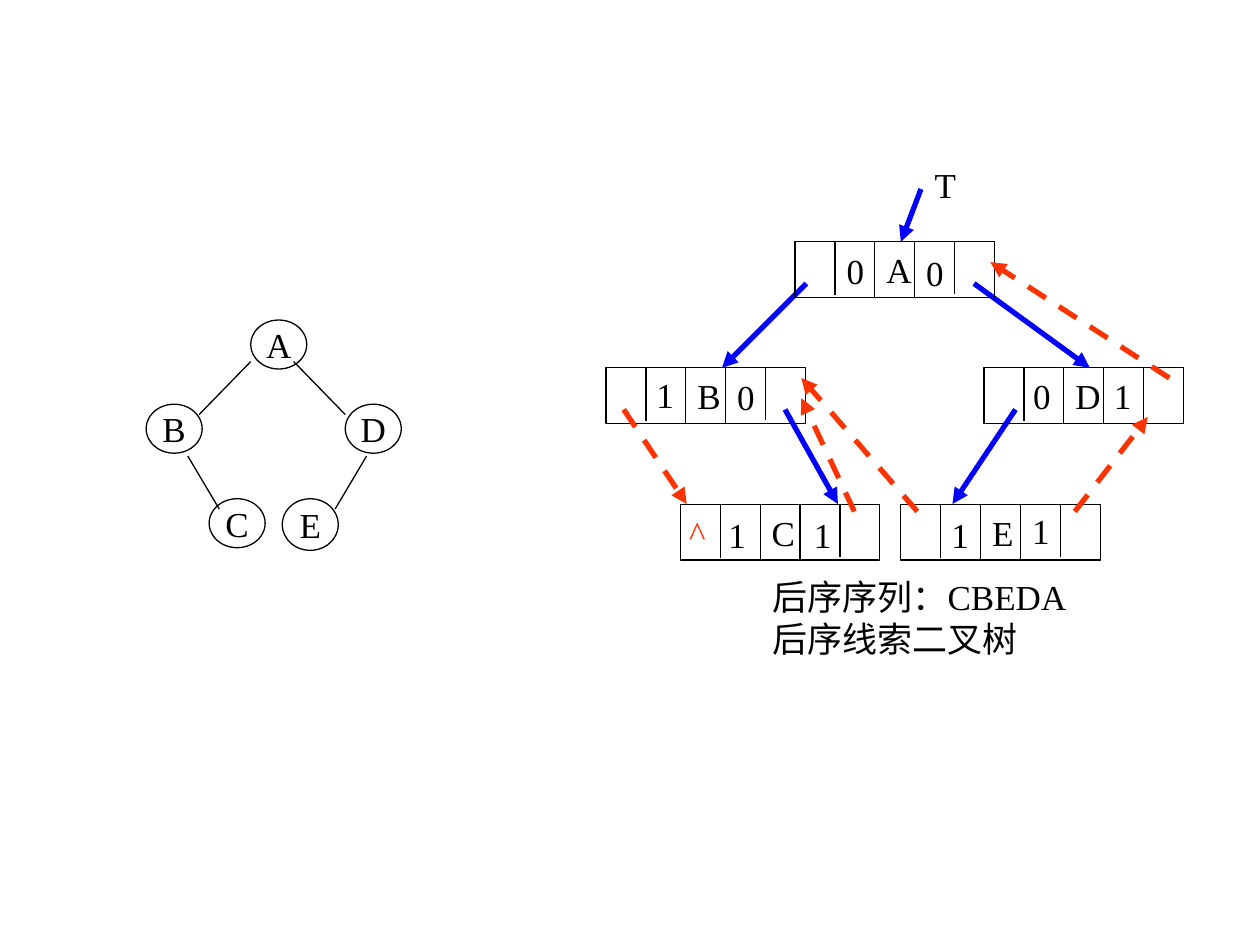
from pptx import Presentation
from pptx.dml.color import RGBColor
from pptx.enum.dml import MSO_LINE
from pptx.enum.shapes import MSO_CONNECTOR, MSO_SHAPE
from pptx.enum.text import MSO_ANCHOR as ANCHOR, PP_ALIGN as ALIGN
from pptx.oxml.ns import qn
from pptx.util import Pt
from lxml import etree

BLACK = RGBColor(0x00, 0x00, 0x00)
BLUE = RGBColor(0x00, 0x00, 0xFF)
RED = RGBColor(0xFF, 0x33, 0x00)

prs = Presentation()
prs.slide_width, prs.slide_height = Pt(720), Pt(540)
s = prs.slides.add_slide(prs.slide_layouts[6])


def add_text(sp, text, color=BLACK, align=ALIGN.CENTER, **frame):
    tf = sp.text_frame
    tf.text = text
    frame_format = {"word_wrap": False, "vertical_anchor": ANCHOR.MIDDLE, **frame}
    for name, value in frame_format.items():
        setattr(tf, name, value)
    for p in tf.paragraphs:
        p.alignment = align
        for name, value in {"name": "Times New Roman", "size": Pt(20)}.items():
            setattr(p.font, name, value)
        p.font.color.rgb = color


def add_line(x1, y1, x2, y2, color=BLACK, width=0.75, arrow=False, dashed=False):
    sp = s.shapes.add_connector(MSO_CONNECTOR.STRAIGHT, Pt(x1), Pt(y1), Pt(x2), Pt(y2))
    sp.line.color.rgb = color
    sp.line.width = Pt(width)
    if dashed:
        sp.line.dash_style = MSO_LINE.DASH
    if arrow:
        etree.SubElement(sp.line._get_or_add_ln(), qn("a:tailEnd"), type="triangle")
    etree.SubElement(sp._element.spPr, qn("a:effectLst"))


# Binary tree: nodes and edges
tree_nodes = [("A", 143.3, 182.9, 28), ("B", 83.5, 231, 28), ("C", 119.5, 285, 28),
              ("D", 197.3, 231, 28), ("E", 161.3, 285, 29.5)]
for letter, x, y, height in tree_nodes:
    sp = s.shapes.add_shape(MSO_SHAPE.OVAL, Pt(x), Pt(y), Pt(32), Pt(height))
    sp.shadow.inherit = False
    sp.fill.background()
    sp.line.color.rgb = BLACK
    sp.line.width = Pt(0.75)
    add_text(sp, letter)

for edge in [(143.3, 206.6, 113.8, 236.9), (167.8, 206.6, 197.3, 236.9),
             (107.3, 260.6, 125.3, 290.9), (209.5, 260.6, 191.5, 290.9)]:
    add_line(*edge)

# Child pointers and the root pointer
for pointer in [(460.8, 162, 412.6, 210.2), (556.6, 162, 622.8, 210.2),
                (448.6, 234, 478.8, 288), (580.3, 234, 544.3, 288),
                (526.3, 108, 514.8, 138.2)]:
    add_line(*pointer, color=BLUE, width=3, arrow=True)

# Linked nodes: five cells each, with left and right flags as (text, dx, dy)
CELL, HEIGHT = 22.8, 31.7
linked_nodes = [
    ("A", 454.3, 138.2, [("0", 22.3, 0.7), ("0", 67.7, 1.4)]),
    ("B", 346.3, 210.2, [("1", 21.6, -0.7), ("0", 67.7, 0.7)]),
    ("D", 562.3, 210.2, [("0", 20.9, 0), ("1", 67, 0)]),
    ("C", 388.8, 288.4, [("1", 20.2, 1), ("1", 69, 1)]),
    ("E", 514.8, 288.4, [("1", 21.6, 1), ("1", 67.7, -1.1)]),
]
for letter, x, y, flags in linked_nodes:
    sp = s.shapes.add_shape(MSO_SHAPE.RECTANGLE, Pt(x), Pt(y), Pt(5 * CELL), Pt(HEIGHT))
    sp.shadow.inherit = False
    sp.fill.background()
    sp.line.color.rgb = BLACK
    sp.line.width = Pt(0.75)
    add_text(sp, letter, align=ALIGN.LEFT, margin_left=Pt(52.2))
    for i, length in enumerate([30.4, HEIGHT, HEIGHT, 30], start=1):
        add_line(x + i * CELL, y, x + i * CELL, y + length)
    for flag, dx, dy in flags:
        sp = s.shapes.add_textbox(Pt(x + dx), Pt(y + dy), Pt(24.5), Pt(HEIGHT))
        add_text(sp, flag)

# Labels
sp = s.shapes.add_textbox(Pt(386.6), Pt(288.7), Pt(23.8), Pt(HEIGHT))
add_text(sp, "^", color=RED)
for text, x, y, width, height in [("T", 527, 90, 26.6, HEIGHT),
                                  ("后序序列：CBEDA\n后序线索二叉树", 434.2, 325.4, 187.2, 55.4)]:
    sp = s.shapes.add_textbox(Pt(x), Pt(y), Pt(width), Pt(height))
    add_text(sp, text, align=ALIGN.LEFT, vertical_anchor=ANCHOR.TOP)

# Threads
for thread in [(356.4, 234, 392.4, 288), (488.2, 292.3, 457.9, 227.5),
               (524.2, 292.3, 457.9, 216), (614.2, 292.3, 655.9, 238.3),
               (668.2, 216, 565.9, 149.8)]:
    add_line(*thread, color=RED, width=3, arrow=True, dashed=True)

prs.save("out.pptx")
